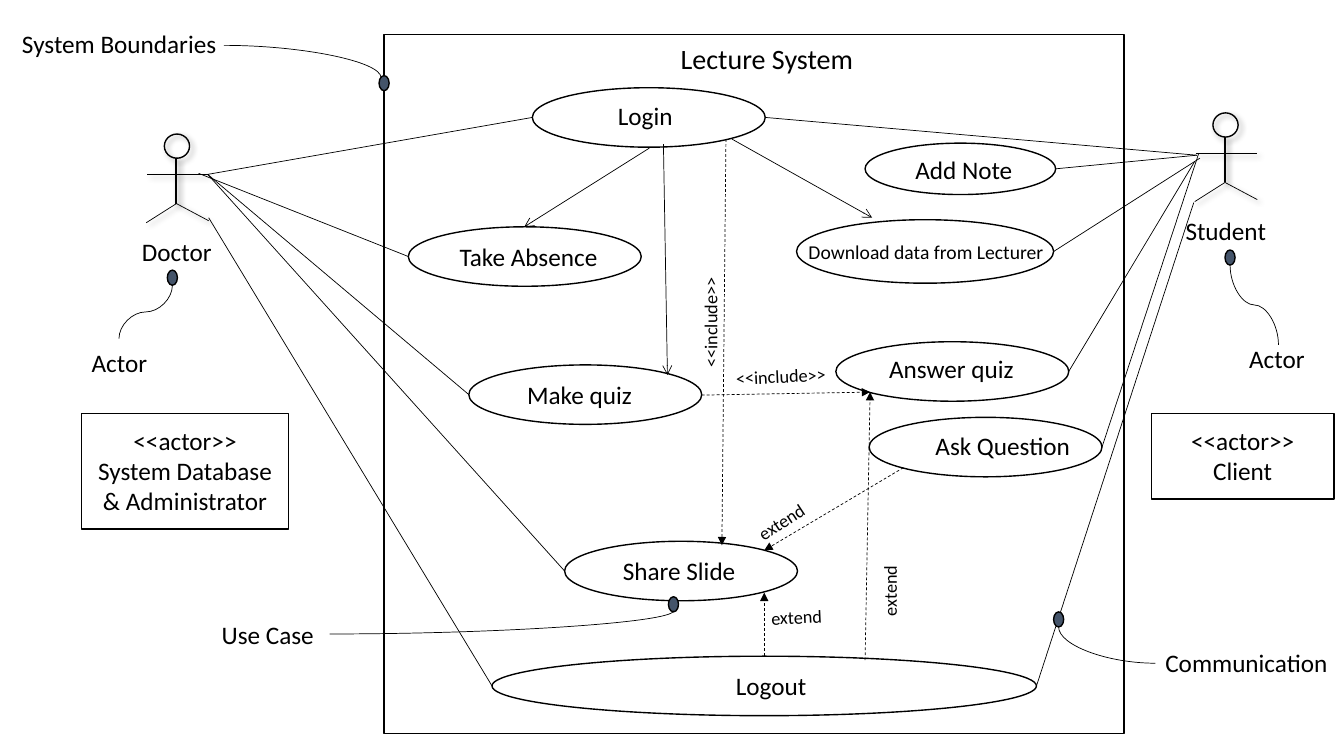
from lxml.etree import SubElement
from pptx import Presentation
from pptx.dml.color import RGBColor
from pptx.enum.dml import MSO_LINE
from pptx.enum.shapes import MSO_CONNECTOR as CONN, MSO_SHAPE as SHAPE
from pptx.enum.text import MSO_ANCHOR, MSO_AUTO_SIZE, PP_ALIGN
from pptx.oxml.ns import qn
from pptx.util import Inches, Pt

# The slide is laid out on a grid of one-inch columns and rows.
COLS, ROWS = 13.33, 7.5
BLACK, SLATE = "000000", "44546A"
CASE_W, CASE_H = 2.31, 0.59

# name: ellipse (x, y, w, h), label (x, y, w, size)
USE_CASES = {
    "Login": ((5.28, 0.87, CASE_W, CASE_H), (6.03, 0.95, 0.76, 18)),
    "Take Absence": ((4.05, 2.25, CASE_W, CASE_H), (4.46, 2.34, 1.6, 18)),
    "Make quiz": ((4.65, 3.62, CASE_W, CASE_H), (5.13, 3.71, 1.33, 18)),
    "Answer quiz": ((8.29, 3.39, CASE_W, CASE_H), (8.72, 3.46, 1.56, 18)),
    "Share Slide": ((5.6, 5.37, CASE_W, CASE_H), (6.08, 5.46, 1.34, 18)),
    "Download data from Lecturer": ((7.9, 2.18, 2.55, 0.63), (7.92, 2.33, 2.58, 14)),
    "Logout": ((4.88, 6.51, 5.4, CASE_H), (7.2, 6.6, 0.97, 18)),
    "Ask Question": ((8.62, 4.14, CASE_W, CASE_H), (9.18, 4.22, 1.56, 18)),
    "Add Note": ((8.58, 1.42, 1.89, 0.51), (8.98, 1.48, 1.19, 18)),
}
# use case: where its line leaves the actor
DOCTOR_LINKS = {"Login": (2.06, 1.73), "Take Absence": (1.97, 1.72),
                "Make quiz": (2.06, 1.73), "Share Slide": (2.06, 1.73),
                "Logout": (2.07, 2.16)}
STUDENT_LINKS = {"Login": (11.87, 1.54), "Add Note": (11.87, 1.54),
                 "Download data from Lecturer": (11.9, 1.57),
                 "Answer quiz": (11.85, 1.6), "Ask Question": (11.89, 1.52),
                 "Logout": (11.84, 2.01)}
FLOWS = [((6.44, 1.47), (5.2, 2.25)), ((6.58, 1.43), (6.62, 3.72)),
         ((7.26, 1.38), (8.65, 2.16))]
DEPENDENCIES = [((7.2, 1.38), (7.16, 5.41)), ((6.96, 3.92), (8.63, 3.89)),
                ((7.58, 6.51), (7.58, 5.88)), ((8.96, 4.64), (7.58, 5.46)),
                ((8.58, 6.55), (8.63, 3.89))]
# text, x, y, w, rotation
STEREOTYPES = [("<<include>>", 6.46, 3, 1.17, 270), ("<<include>>", 7.2, 3.57, 1.17, 357.3),
               ("extend", 7.55, 5.96, 0.71, 357.3), ("extend", 7.39, 4.99, 0.8, 326.7),
               ("extend", 8.47, 5.7, 0.71, 270)]
LABELS = [("Doctor", 1.31, 2.3, 0.98), ("Student", 11.66, 2.09, 1.11),
          ("Actor", 0.81, 3.4, 0.78), ("Actor", 12.29, 3.36, 0.78),
          ("System Boundaries", 0.12, 0.23, 2.23), ("Use Case", 2.1, 6.09, 1.17),
          ("Communication", 11.46, 6.37, 1.9)]
DOTS = [(3.76, 0.75), (12.15, 2.48), (10.45, 6.07), (6.63, 5.92), (1.66, 2.68)]
# start, end, preset
CALLOUTS = [((10.5, 6.22), (11.46, 6.58), "curvedConnector2"),
            ((3.78, 0.77), (2.22, 0.45), "curvedConnector2"),
            ((6.68, 6.06), (3.27, 6.29), "curvedConnector2"),
            ((1.71, 2.83), (1.18, 3.36), "curvedConnector3"),
            ((12.2, 2.63), (12.68, 3.42), "curvedConnector3")]


def grid(*values):
    """Turn columns or rows into slide lengths."""
    return [Inches(v) for v in values]


def rgb(hex_color):
    """Turn a hex string into a colour."""
    return RGBColor.from_string(hex_color)


def set_effects(sp, shadow=False):
    """Drop the theme shadow, or put a soft drop shadow in its place."""
    spPr = sp._element.spPr
    effects = spPr.find(qn("a:effectLst"))
    if effects is None:
        effects = SubElement(spPr, qn("a:effectLst"))
    if shadow:
        outer = SubElement(effects, qn("a:outerShdw"), blurRad=str(Pt(4)),
                           dist=str(Pt(3)), dir="2700000", algn="tl", rotWithShape="0")
        color = SubElement(outer, qn("a:srgbClr"), val=BLACK)
        SubElement(color, qn("a:alpha"), val="40000")


def add_outline(s, kind, box, fill=None, shadow=False):
    """Add a black-lined preset shape."""
    sp = s.shapes.add_shape(kind, *grid(*box))
    sp.shadow.inherit = False
    set_effects(sp, shadow)
    if fill:
        sp.fill.solid()
        sp.fill.fore_color.rgb = rgb(fill)
    else:
        sp.fill.background()
    sp.line.color.rgb = rgb(BLACK)
    sp.line.width = Pt(1)


def add_line(s, start, end, width=0.5, arrow=None, dashed=False, shadow=False,
             kind=CONN.STRAIGHT):
    """Add a black line, with an arrowhead at its end if asked."""
    line = s.shapes.add_connector(kind, *grid(*start, *end))
    line.line.color.rgb = rgb(BLACK)
    line.line.width = Pt(width)
    if dashed:
        line.line.dash_style = MSO_LINE.DASH
    if arrow:
        SubElement(line.line._get_or_add_ln(), qn("a:tailEnd"), type=arrow)
    set_effects(line, shadow)
    return line


def add_callout(s, start, end, preset):
    """Add a curve that leaves its start vertically: a connector turned by 90 degrees."""
    (x1, y1), (x2, y2) = start, end
    cx, cy = (x1 + x2) / 2, (y1 + y2) / 2
    half_w, half_h = (y2 - y1) / 2, (x1 - x2) / 2
    line = add_line(s, (cx - half_w, cy - half_h), (cx + half_w, cy + half_h),
                    kind=CONN.CURVE)
    spPr = line._element.spPr
    spPr.find(qn("a:xfrm")).set("rot", "5400000")
    spPr.find(qn("a:prstGeom")).set("prst", preset)


def write(sp, lines, size, align=PP_ALIGN.LEFT):
    """Fill a text shape with black Calibri paragraphs."""
    tf = sp.text_frame
    tf.word_wrap = True
    tf.auto_size = MSO_AUTO_SIZE.SHAPE_TO_FIT_TEXT
    tf.vertical_anchor = MSO_ANCHOR.TOP
    tf.text = "\n".join(lines)
    for p in tf.paragraphs:
        p.alignment = align
        p.font.name = "Calibri"
        p.font.size = Pt(size)
        p.font.color.rgb = rgb(BLACK)


def add_label(s, text, x, y, w, size=18, rotation=0):
    """Add a one-line text box."""
    sp = s.shapes.add_textbox(*grid(x, y, w, size / 60 + 0.1))
    write(sp, [text], size)
    sp.rotation = rotation


def add_role(s, box, lines):
    """Add a framed, centred actor description."""
    add_outline(s, SHAPE.RECTANGLE, box)
    x, y, w, h = box
    write(s.shapes.add_textbox(*grid(x, y + 0.07, w, h - 0.14)), lines, 18, PP_ALIGN.CENTER)


def add_actor(s, x, y):
    """Add a stick figure whose head starts at x, y."""
    add_outline(s, SHAPE.OVAL, (x, y, 0.25, 0.24), shadow=True)
    neck, hip = (x + 0.12, y + 0.24), (x + 0.12, y + 0.69)
    add_line(s, neck, hip, width=1.5, shadow=True)
    add_line(s, (x - 0.17, y + 0.4), (x + 0.44, y + 0.4), shadow=True)
    add_line(s, hip, (x + 0.44, y + 0.86), shadow=True)
    add_line(s, hip, (x - 0.18, y + 0.88), shadow=True)


def add_links(s, links, side):
    """Join an actor to the left (0) or right (1) tip of each use case."""
    for name, hand in links.items():
        x, y, w, h = USE_CASES[name][0]
        add_line(s, hand, (x + side * w, y + h / 2))


def main():
    """Build the use case diagram."""
    prs = Presentation()
    prs.slide_width, prs.slide_height = grid(COLS, ROWS)
    s = prs.slides.add_slide(prs.slide_layouts[5])

    title = s.shapes.title
    title.left, title.top, title.width, title.height = grid(6.65, 0.36, 1.96, 0.44)
    write(title, ["Lecture System"], 20)

    add_outline(s, SHAPE.RECTANGLE, (3.81, 0.34, 7.34, 6.94))
    add_actor(s, 1.63, 1.33)
    add_actor(s, 12.03, 1.12)
    for name, (ellipse, (x, y, w, size)) in USE_CASES.items():
        add_outline(s, SHAPE.OVAL, ellipse)
        add_label(s, name, x, y, w, size)
    add_links(s, DOCTOR_LINKS, 0)
    add_links(s, STUDENT_LINKS, 1)
    for start, end in FLOWS:
        add_line(s, start, end, arrow="arrow")
    for start, end in DEPENDENCIES:
        add_line(s, start, end, arrow="triangle", dashed=True)
    for text, x, y, w, rotation in STEREOTYPES:
        add_label(s, text, x, y, w, 13, rotation)
    for x, y in DOTS:
        add_outline(s, SHAPE.OVAL, (x, y, 0.1, 0.15), SLATE)
    for callout in CALLOUTS:
        add_callout(s, *callout)
    for label in LABELS:
        add_label(s, *label)
    add_role(s, (0.81, 4.1, 2.05, 1.15), ["<<actor>>", "System Database", "& Administrator"])
    add_role(s, (11.42, 4.1, 1.81, 0.85), ["<<actor>>", "Client"])
    prs.save("out.pptx")


main()
